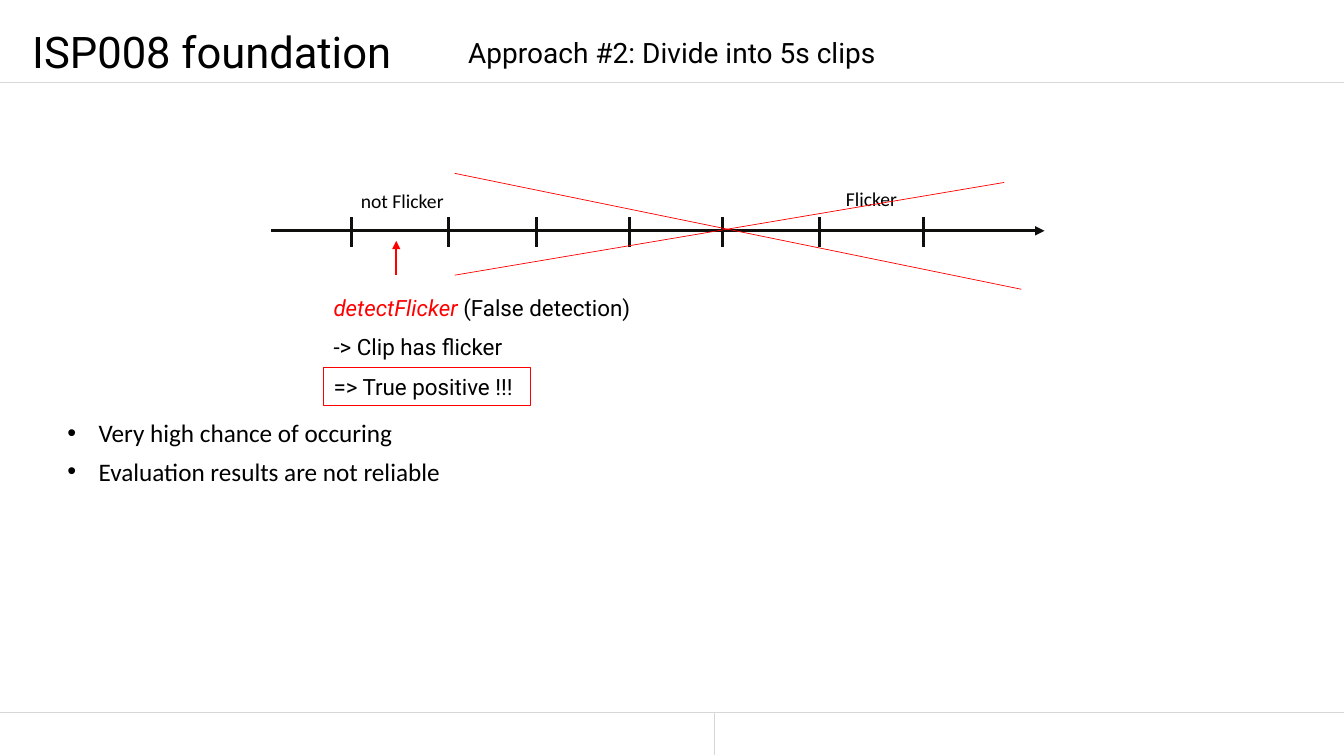
from lxml import etree
from pptx import Presentation
from pptx.dml.color import RGBColor
from pptx.enum import shapes, text
from pptx.oxml import ns
from pptx.util import Inches, Pt

COLORS = {"black": "000000", "axis": "0F0F0D", "red": "FF0000", "rule": "D7D7DA"}

presentation = Presentation()
presentation.slide_width, presentation.slide_height = Inches(13.33), Inches(7.5)
slide = presentation.slides.add_slide(presentation.slide_layouts[6])


def add_line(start, end, color, width, arrow=False):
    line = slide.shapes.add_connector(
        shapes.MSO_CONNECTOR.STRAIGHT, *[Inches(value) for value in start + end])
    line.line.color.rgb = RGBColor.from_string(COLORS[color])
    line.line.width = Pt(width)
    if arrow:
        etree.SubElement(line.line._ln, ns.qn("a:tailEnd"), type="triangle")
    etree.SubElement(line._element.spPr, ns.qn("a:effectLst"))


def add_text(box, paragraphs, size, font, wrap=False, margins=True):
    """Each paragraph is a list of (wording, color, italic) runs."""
    shape = slide.shapes.add_textbox(*[Inches(value) for value in box])
    frame = shape.text_frame
    frame.word_wrap = wrap
    if not margins:
        frame.margin_left = frame.margin_right = 0
        frame.margin_top = frame.margin_bottom = 0
    for index, runs in enumerate(paragraphs):
        paragraph = frame.add_paragraph() if index else frame.paragraphs[0]
        for wording, color, italic in runs:
            run = paragraph.add_run()
            run.text = wording
            run.font.size, run.font.name, run.font.italic = Pt(size), font, italic
            run.font.color.rgb = RGBColor.from_string(COLORS[color])
    return shape


# Title
title = add_text((0.32, 0.31, 12.7, 0.47), [[("ISP008 foundation", "black", False)]],
                 31.1, "Roboto", wrap=True, margins=False)
title.text_frame.paragraphs[0].line_spacing = 0.89

# Header and footer rules
for start, end in [((0, 0.82), (13.33, 0.82)),
                   ((0, 7.07), (13.33, 7.07)),
                   ((7.09, 7.07), (7.09, 7.49))]:
    add_line(start, end, "rule", 0.5)

# Timeline with clip boundaries
add_line((2.69, 2.29), (10.36, 2.29), "axis", 2.25, arrow=True)
for tick in (3.49, 4.45, 5.32, 6.24, 7.17, 8.13, 9.16):
    add_line((tick, 2.45), (tick, 2.15), "axis", 2.25)
for box, label in [((3.48, 1.83, 1.03, 0.34), "not Flicker"),
                   ((8.29, 1.81, 0.71, 0.34), "Flicker")]:
    add_text(box, [[(label, "black", False)]], 14, "Calibri")

# Detection point and its consequences
add_line((3.93, 2.73), (3.93, 2.39), "red", 1.5, arrow=True)
add_text((3.21, 2.87, 3.21, 0.37),
         [[("detectFlicker ", "red", True), ("(False detection)", "black", False)]],
         16, "Roboto")
add_text((3.21, 3.26, 1.93, 0.37), [[("-> Clip has flicker", "black", False)]],
         16, "Roboto")
verdict = add_text((3.21, 3.65, 2.05, 0.37),
                   [[("=> True positive !!!", "black", False)]], 16, "Roboto")
verdict.line.color.rgb = RGBColor.from_string(COLORS["red"])
verdict.line.width = Pt(0.75)

# Conclusions
conclusions = add_text((0.57, 4.09, 3.94, 0.79),
                       [[("Very high chance of occuring", "black", False)],
                        [("Evaluation results are not reliable", "black", False)]],
                       18, "Calibri")
for paragraph in conclusions.text_frame.paragraphs:
    paragraph.space_after = Pt(6)
    properties = paragraph._p.get_or_add_pPr()
    properties.set("marL", str(Inches(0.31)))
    properties.set("indent", str(-Inches(0.31)))
    etree.SubElement(properties, ns.qn("a:buFont"), typeface="Arial")
    etree.SubElement(properties, ns.qn("a:buChar"), char="•")

# Subtitle
subtitle = add_text((0, 0.22, 13.33, 0.47),
                    [[("Approach #2: Divide into 5s clips", "black", False)]],
                    20, "Roboto", wrap=True, margins=False)
subtitle.text_frame.vertical_anchor = text.MSO_ANCHOR.BOTTOM
paragraph = subtitle.text_frame.paragraphs[0]
paragraph.alignment = text.PP_ALIGN.CENTER
paragraph.line_spacing, paragraph.space_before = Pt(23), Pt(5)

# Cross over the discarded clips
add_line((4.51, 1.72), (10.13, 2.87), "red", 0.5)
add_line((4.51, 2.73), (9.96, 1.81), "red", 0.5)

presentation.save("out.pptx")
